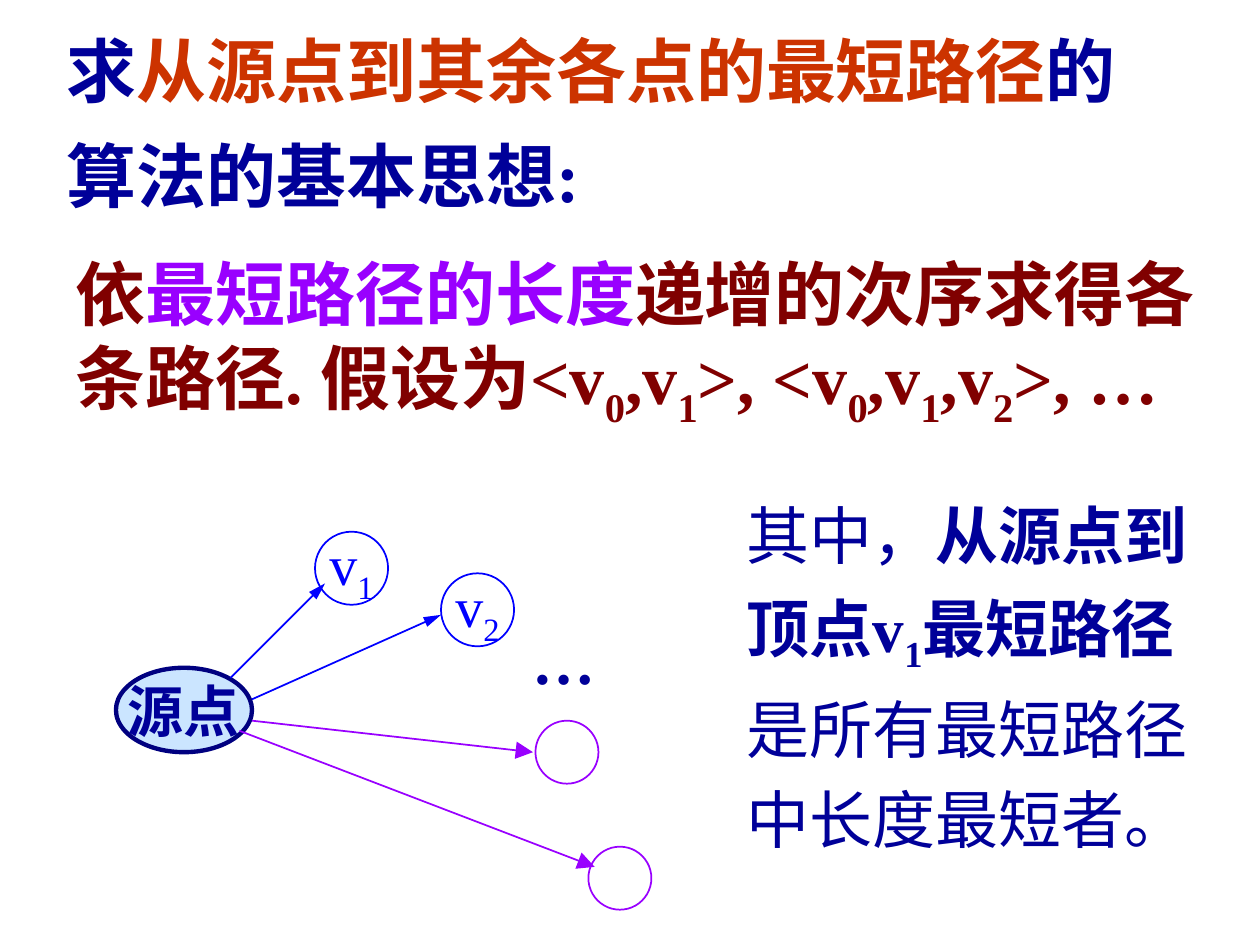
from lxml.etree import SubElement
from pptx import Presentation
from pptx.dml.color import RGBColor
from pptx.enum.shapes import MSO_CONNECTOR as Connector, MSO_SHAPE as Shape
from pptx.enum.text import MSO_ANCHOR as Anchor, MSO_AUTO_SIZE as AutoSize, PP_ALIGN as Align
from pptx.oxml.ns import qn
from pptx.util import Inches, Pt

FONT = "Times New Roman"
NAVY, BLUE, PURPLE = "000099", "0000FF", "9900FF"
RED, MAROON = "CC3300", "800000"


def color(hex_code):
    return RGBColor.from_string(hex_code)


def place(shape, left, top, width, height):
    shape.left, shape.top = Inches(left), Inches(top)
    shape.width, shape.height = Inches(width), Inches(height)


def add_run(para, text, size, hex_code, bold, subscript=False):
    run = para.add_run()
    run.text = text
    run.font.name = FONT
    run.font.size = Pt(size)
    run.font.bold = bold
    run.font.color.rgb = color(hex_code)
    if subscript:
        run._r.get_or_add_rPr().set("baseline", "-25000")


def add_text(para, text, size, hex_code, bold=False):
    """Add runs; a digit that follows an underscore becomes a subscript."""
    plain, *marked = text.split("_")
    add_run(para, plain, size, hex_code, bold)
    for part in marked:
        add_run(para, part[0], size, hex_code, bold, subscript=True)
        if part[1:]:
            add_run(para, part[1:], size, hex_code, bold)


def prepare_text(shape, spacing=1.0, align=Align.LEFT, anchor=Anchor.TOP, wrap=True):
    """Set up the text frame and return its first paragraph."""
    frame = shape.text_frame
    frame.word_wrap = wrap
    frame.auto_size = AutoSize.NONE
    frame.vertical_anchor = anchor
    para = frame.paragraphs[0]
    para.alignment = align
    para.line_spacing = spacing
    para.space_before = Pt(0)
    return para


def remove_bullet(para):
    properties = para._p.get_or_add_pPr()
    properties.set("marL", "0")
    properties.set("indent", "0")
    SubElement(properties, qn("a:buNone"))


def add_text_box(slide, bounds, **layout):
    box = slide.shapes.add_textbox(*map(Inches, bounds))
    return prepare_text(box, **layout)


def add_node(slide, bounds, line_color, line_width=1):
    node = slide.shapes.add_shape(Shape.OVAL, *map(Inches, bounds))
    node.shadow.inherit = False
    node.fill.background()
    node.line.color.rgb = color(line_color)
    node.line.width = Pt(line_width)
    return node


def label_node(node, text, hex_code, bold=False):
    para = prepare_text(node, align=Align.CENTER, anchor=Anchor.MIDDLE, wrap=False)
    add_text(para, text, 32, hex_code, bold)


def fill_translucent(shape, hex_code, percent):
    shape.fill.solid()
    shape.fill.fore_color.rgb = color(hex_code)
    fill_color = shape._element.spPr.find(qn("a:solidFill"))[0]
    SubElement(fill_color, qn("a:alpha"), val=str(percent * 1000))


def add_arrow(slide, start, end, hex_code, head_width):
    arrow = slide.shapes.add_connector(Connector.STRAIGHT, *map(Inches, start + end))
    arrow.line.color.rgb = color(hex_code)
    arrow.line.width = Pt(1)
    SubElement(arrow.line._get_or_add_ln(), qn("a:tailEnd"),
               type="triangle", w=head_width, len="lg")
    SubElement(arrow._element.spPr, qn("a:effectLst"))


def add_headings(slide):
    title, body = slide.placeholders
    place(title, 0.43, 0, 9.02, 1.77)
    para = prepare_text(title, spacing=1.25)
    add_text(para, "求", 40, NAVY, True)
    add_text(para, "从源点到其余各点的最短路径", 40, RED, True)
    add_text(para, "的算法的基本思想:", 40, NAVY, True)

    place(body, 0.5, 1.94, 9.5, 1.53)
    para = prepare_text(body)
    remove_bullet(para)
    add_text(para, "依", 40, MAROON, True)
    add_text(para, "最短路径的长度", 40, PURPLE, True)
    add_text(para, "递增的次序求得各条路径. 假设为<v_0,v_1>, <v_0,v_1,v_2>, …",
             40, MAROON, True)


def add_graph(slide):
    source = add_node(slide, (0.92, 5.3, 1.08, 0.67), "000080", 2.5)
    fill_translucent(source, "99CCFF", 50)
    label_node(source, "源点", NAVY, bold=True)

    for text, left, top in (("v_1", 2.5, 4.22), ("v_2", 3.5, 4.55)):
        label_node(add_node(slide, (left, top, 0.58, 0.58), BLUE), text, BLUE)
    for left, top in ((4.25, 5.72), (4.67, 6.72)):
        add_node(slide, (left, top, 0.5, 0.5), PURPLE)

    dots = add_text_box(slide, (4.13, 4.88, 0.7, 0.7), wrap=False)
    add_text(dots, "…", 36, NAVY, True)

    for start, end, hex_code, head_width in (
        ((1.83, 5.38), (2.58, 4.63), BLUE, "med"),
        ((2, 5.55), (3.5, 4.88), BLUE, "med"),
        ((2, 5.72), (4.23, 5.97), PURPLE, "lg"),
        ((1.9, 5.8), (4.72, 6.88), PURPLE, "lg"),
    ):
        add_arrow(slide, start, end, hex_code, head_width)


def add_explanation(slide):
    para = add_text_box(slide, (5.83, 3.77, 4.08, 3.08), spacing=1.2)
    add_text(para, "其中，", 36, NAVY)
    add_text(para, "从源点到顶点v_1最短路径", 36, NAVY, True)
    add_text(para, "是所有最短路径中长度最短者。", 36, NAVY)


def main():
    deck = Presentation()
    deck.slide_width, deck.slide_height = Inches(10), Inches(7.5)
    slide = deck.slides.add_slide(deck.slide_layouts[1])
    add_headings(slide)
    add_graph(slide)
    add_explanation(slide)
    deck.save("out.pptx")


if __name__ == "__main__":
    main()
